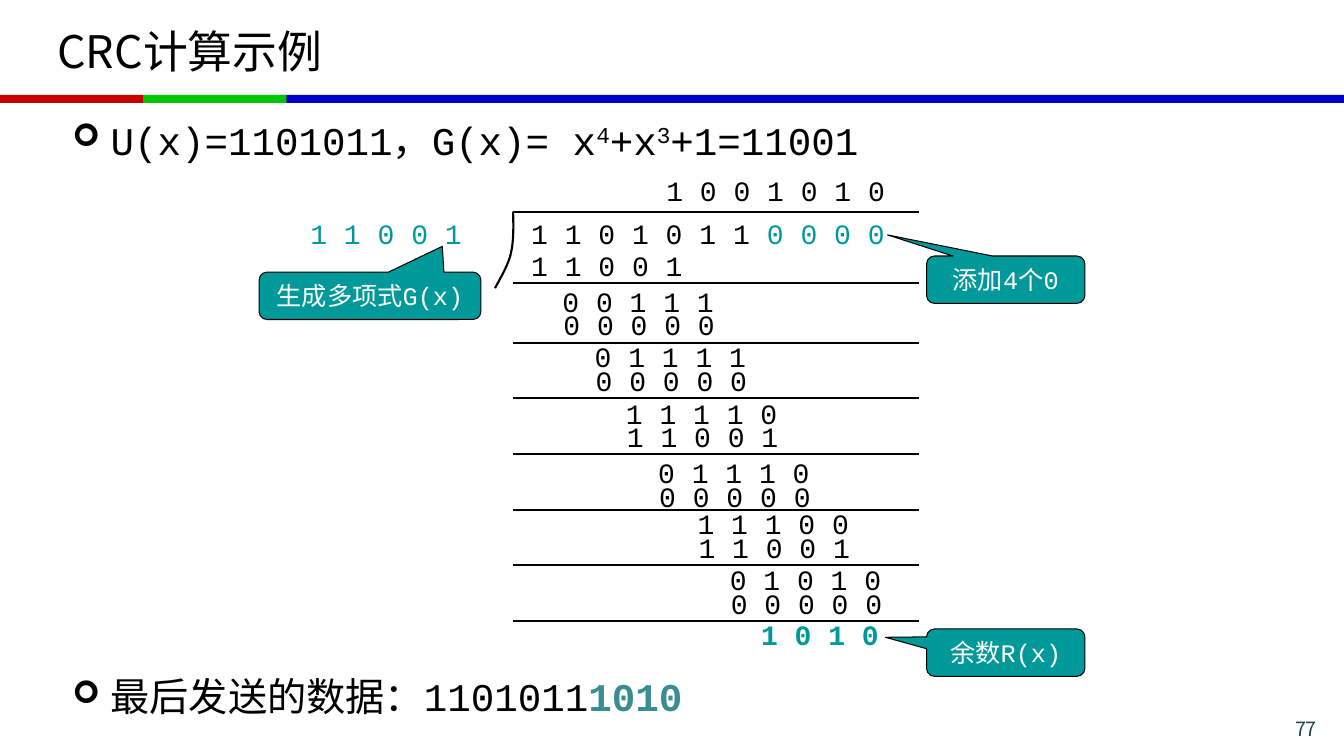
from lxml import etree
from pptx import Presentation
from pptx.dml.color import RGBColor
from pptx.enum.shapes import MSO_CONNECTOR, MSO_SHAPE
from pptx.enum.text import MSO_ANCHOR, PP_ALIGN
from pptx.oxml.ns import qn
from pptx.util import Inches, Pt

LINE = MSO_CONNECTOR.STRAIGHT
RECT = MSO_SHAPE.RECTANGLE
CALLOUT = MSO_SHAPE.ROUNDED_RECTANGULAR_CALLOUT
MIDDLE, TOP = MSO_ANCHOR.MIDDLE, MSO_ANCHOR.TOP
LEFT, CENTER, RIGHT = PP_ALIGN.LEFT, PP_ALIGN.CENTER, PP_ALIGN.RIGHT

MONO, SANS = "Courier New", "Noto Sans CJK SC"
COLORS = {
    "black": "000000", "white": "FFFFFF", "teal": "009999", "sum": "3C8C93",
    "page": "1E4649", "red": "C80000", "green": "00C800", "blue": "0000C8",
}

# Left, top, remainder and subtracted row of each division step
STEPS = [
    (5.48, 2.77, "0 0 1 1 1", "0 0 0 0 0"),
    (5.80, 3.32, "0 1 1 1 1", "0 0 0 0 0"),
    (6.11, 3.88, "1 1 1 1 0", "1 1 0 0 1"),
    (6.43, 4.47, "0 1 1 1 0", "0 0 0 0 0"),
    (6.82, 4.98, "1 1 1 0 0", "1 1 0 0 1"),
    (7.14, 5.53, "0 1 0 1 0", "0 0 0 0 0"),
]
CALLOUTS = [
    (2.57, 2.70, 2.20, "生成多项式G(x)", (0.326, -1.044)),
    (9.19, 2.54, 1.57, "添加4个0", (-0.746, -0.945)),
    (9.19, 6.24, 1.57, "余数R(x)", (-0.76, -0.324)),
]
# Control points of the two curves that form the division bracket
BRACKET = [
    [(5.09, 2.10), (5.09, 2.17), (5.10, 2.37), (5.07, 2.50)],
    [(5.07, 2.50), (5.05, 2.62), (4.95, 2.78), (4.91, 2.86)],
]


def rgb(color):
    return RGBColor.from_string(COLORS[color])


def add_run(para, text, size, color="black", font=MONO, bold=False, base=0):
    run = para.add_run()
    run.text = text
    run.font.size = Pt(size)
    run.font.name = font
    run.font.bold = bold
    run.font.color.rgb = rgb(color)
    props = run.font._element
    etree.SubElement(props, qn("a:ea")).set("typeface", SANS)
    if base:
        props.set("baseline", str(base * 1000))


def add_text(slide, box, runs, align=LEFT, anchor=TOP, wrap=True):
    """Add a one-paragraph text box; each run is a tuple of add_run arguments."""
    frame = slide.shapes.add_textbox(*map(Inches, box)).text_frame
    frame.word_wrap = wrap
    frame.vertical_anchor = anchor
    para = frame.paragraphs[0]
    para.alignment = align
    for run in runs:
        add_run(para, *run)
    return para


def add_bullet(slide, box, runs):
    para = add_text(slide, box, runs)
    props = para._p.get_or_add_pPr()
    props.set("marL", str(Inches(0.38)))
    props.set("indent", str(-Inches(0.38)))
    tint = etree.SubElement(props, qn("a:buClr"))
    etree.SubElement(tint, qn("a:srgbClr")).set("val", COLORS["black"])
    etree.SubElement(props, qn("a:buSzPct")).set("val", "80000")
    etree.SubElement(props, qn("a:buFont")).set("typeface", "Wingdings")
    etree.SubElement(props, qn("a:buChar")).set("char", "➢")


def add_digits(slide, left, top, *parts, bold=False):
    """Add a row of spaced digits from (text, color) parts."""
    width = sum(len(text) for text, _ in parts) * 0.17 + 0.2
    runs = [(text, 20, color, MONO, bold) for text, color in parts]
    add_text(slide, (left, top, width, 0.44), runs, wrap=False)


def add_bar(slide, left, width, color):
    bar = slide.shapes.add_shape(
        RECT, Inches(left), Inches(0.94), Inches(width), Inches(0.08))
    bar.shadow.inherit = False
    bar.fill.solid()
    bar.fill.fore_color.rgb = rgb(color)
    bar.line.fill.background()


def add_rule(slide, top):
    rule = slide.shapes.add_connector(
        LINE, Inches(5.09), Inches(top), Inches(9.11), Inches(top))
    rule.line.color.rgb = rgb("black")
    rule.line.width = Pt(1.5)
    etree.SubElement(rule._element.spPr, qn("a:effectLst"))


def add_bracket(slide):
    points = []
    for curve in BRACKET:
        for step in range(13):
            t = step / 12
            mix = ((1 - t) ** 3, 3 * t * (1 - t) ** 2, 3 * t * t * (1 - t), t ** 3)
            points.append(tuple(
                Inches(sum(m * c for m, c in zip(mix, axis)))
                for axis in zip(*curve)))
    build = slide.shapes.build_freeform(*points[0])
    build.add_line_segments(points[1:], close=False)
    shape = build.convert_to_shape()
    shape.shadow.inherit = False
    shape.fill.background()
    shape.line.color.rgb = rgb("black")
    shape.line.width = Pt(1.5)


def add_callout(slide, left, top, width, text, tip):
    shape = slide.shapes.add_shape(
        CALLOUT, Inches(left), Inches(top), Inches(width), Inches(0.47))
    shape.adjustments[0], shape.adjustments[1] = tip
    shape.shadow.inherit = False
    shape.fill.solid()
    shape.fill.fore_color.rgb = rgb("teal")
    shape.line.color.rgb = rgb("black")
    shape.line.width = Pt(0.75)
    frame = shape.text_frame
    frame.word_wrap = True
    frame.vertical_anchor = MIDDLE
    para = frame.paragraphs[0]
    para.alignment = CENTER
    add_run(para, text, 18, "white")


def add_division(slide):
    add_digits(slide, 2.98, 2.1, ("1 1 0 0 1", "teal"))
    add_digits(slide, 6.51, 1.67, ("1 0 0 1 0 1 0", "black"))
    add_digits(slide, 5.17, 2.1, ("1 1 0 1 0 1 1 ", "black"), ("0 0 0 0", "teal"))
    add_digits(slide, 5.17, 2.42, ("1 1 0 0 1", "black"))
    for left, top, rest, minus in STEPS:
        add_digits(slide, left, top, (rest, "black"))
        add_digits(slide, left + 0.01, top + 0.235, (minus, "black"))
    add_digits(slide, 7.45, 6.08, ("1 0 1 0", "teal"), bold=True)
    add_bracket(slide)
    for top in [2.1, 2.81] + [3.4 + 0.552 * row for row in range(6)]:
        add_rule(slide, top)


def main():
    deck = Presentation()
    deck.slide_width, deck.slide_height = Inches(13.33), Inches(7.5)
    slide = deck.slides.add_slide(deck.slide_layouts[6])
    add_bar(slide, 2.79, 10.54, "blue")
    add_bar(slide, 0, 1.42, "red")
    add_bar(slide, 1.42, 1.42, "green")
    add_text(slide, (0.47, 0.08, 12.39, 0.84),
             [("CRC计算示例", 32, "black", SANS)], anchor=MIDDLE)
    add_bullet(slide, (0.62, 1.1, 9.34, 0.71), [
        ("U(x)=1101011，G(x)= x", 28),
        ("4", 28, "black", MONO, False, 30),
        ("+x", 28),
        ("3", 28, "black", MONO, False, 30),
        ("+1=11001", 28),
    ])
    add_division(slide)
    for callout in CALLOUTS:
        add_callout(slide, *callout)
    add_bullet(slide, (0.62, 6.62, 6.7, 0.57), [
        ("最后发送的数据：1101011", 28),
        ("1010", 28, "sum", MONO, True),
    ])
    add_text(slide, (11.86, 7.06, 1.3, 0.28),
             [("77", 14, "page", SANS)], align=RIGHT)
    deck.save("out.pptx")


if __name__ == "__main__":
    main()
